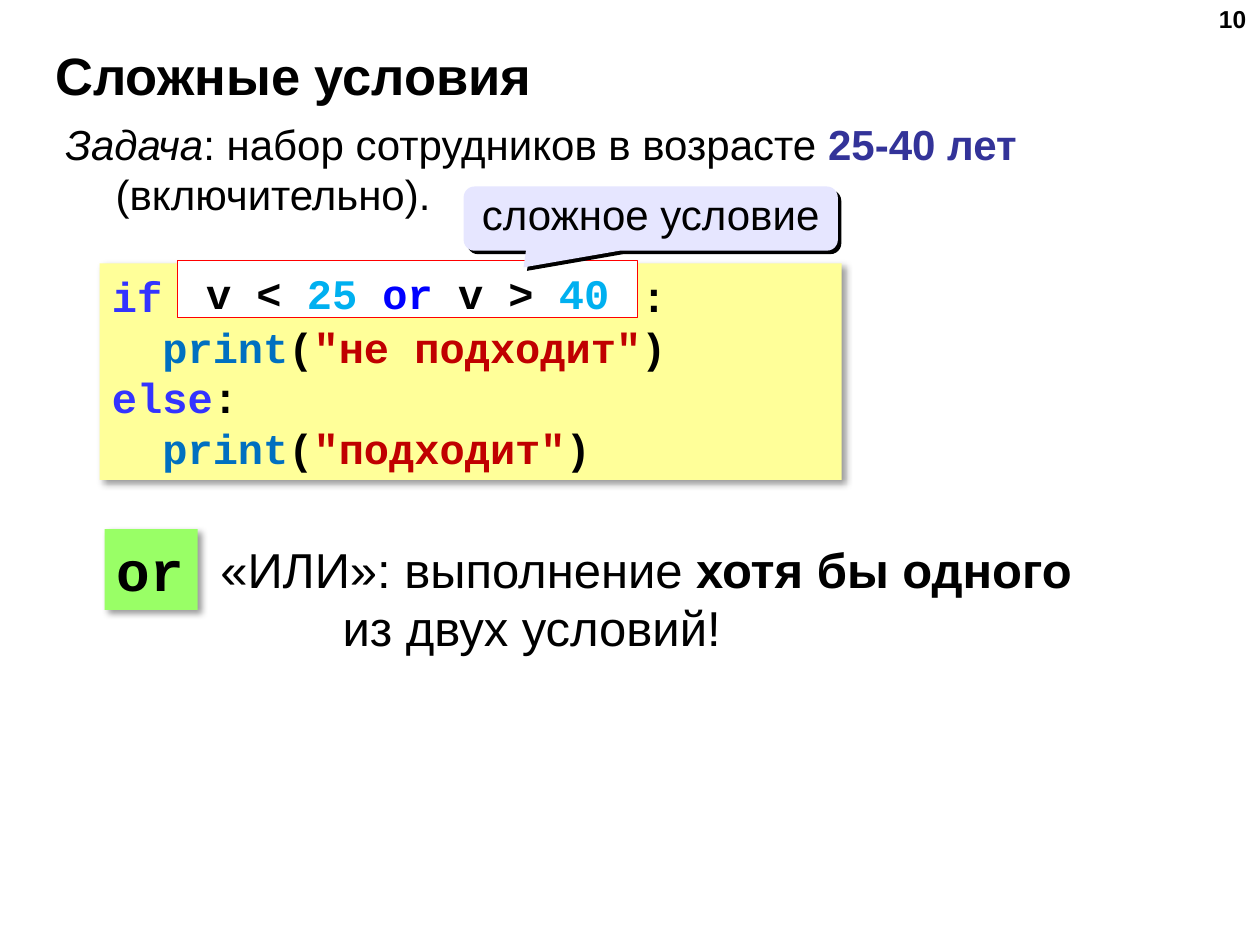
from dataclasses import dataclass

from lxml.etree import SubElement
from pptx import Presentation
from pptx.dml.color import RGBColor
from pptx.enum.shapes import MSO_SHAPE
from pptx.enum.text import MSO_ANCHOR, MSO_AUTO_SIZE, PP_ALIGN
from pptx.oxml.ns import qn
from pptx.util import Inches, Pt

SLIDE_WIDTH, SLIDE_HEIGHT = Inches(10), Inches(7.5)


@dataclass(frozen=True)
class Theme:
    """Colours, fonts and type sizes of the slide."""
    text: str = "000000"
    accent: str = "333399"
    keyword: str = "3333FF"
    operator: str = "0000FF"
    function: str = "0070C0"
    string: str = "C00000"
    number: str = "00B0F0"
    code_fill: str = "FFFF99"
    condition_fill: str = "FFFFFF"
    condition_line: str = "FF0000"
    callout_fill: str = "E6E6FF"
    badge_fill: str = "99FF66"
    sans: str = "Arial"
    mono: str = "Courier New"
    page_size: int = 14
    body_size: int = 24
    note_size: int = 28
    title_size: int = 30
    badge_size: int = 32


THEME = Theme()
CONDITION_COLUMNS = 19
NESTED_INDENT = 0.4
SOFT_SHADOW = {"opacity": 40, "blur": 4, "distance": 3}
HARD_SHADOW = {"opacity": 100, "blur": 0, "distance": 2.8}


def set_format(target, values):
    """Set every attribute named in a dict."""
    for name, value in values.items():
        setattr(target, name, value)


def box(left, top, width, height):
    """Turn percentages of the slide into a dict of lengths."""
    return {
        "left": int(SLIDE_WIDTH * left / 100),
        "top": int(SLIDE_HEIGHT * top / 100),
        "width": int(SLIDE_WIDTH * width / 100),
        "height": int(SLIDE_HEIGHT * height / 100),
    }


def set_indent(paragraph, margin=0, first=0):
    """Set the left margin and first-line indent in inches."""
    properties = paragraph._p.get_or_add_pPr()
    properties.set("marL", str(Inches(margin)))
    properties.set("indent", str(Inches(first)))


def write(shape, lines, font, size, frame=None, paragraph_format=None, indents=None):
    """Fill a shape with lines, each a list of (text, run format) pairs."""
    text_frame = shape.text_frame
    set_format(text_frame, {"word_wrap": True, **(frame or {})})
    for index, line in enumerate(lines):
        paragraph = text_frame.add_paragraph() if index else text_frame.paragraphs[0]
        set_format(paragraph, {"alignment": PP_ALIGN.LEFT, **(paragraph_format or {})})
        if indents:
            set_indent(paragraph, **indents[index])
        for text, style in line:
            run = paragraph.add_run()
            run.text = text
            values = {"name": font, "size": Pt(size), **style}
            colour = values.pop("colour", THEME.text)
            set_format(run.font, values)
            run.font.color.rgb = RGBColor.from_string(colour)


def code(text, colour=THEME.text):
    """Return one bold piece of program text."""
    return text, {"bold": True, "colour": colour}


def add_text(slide, place, lines, font, size, **options):
    """Add a text box."""
    write(slide.shapes.add_textbox(**place), lines, font, size, **options)


def add_shadow(shape, opacity, blur, distance):
    """Give a shape a black shadow towards the lower right."""
    effects = shape._element.spPr.find(qn("a:effectLst"))
    shadow = SubElement(effects, qn("a:outerShdw"), blurRad=str(Pt(blur)),
                        dist=str(Pt(distance)), dir="2700000", algn="tl", rotWithShape="0")
    colour = SubElement(shadow, qn("a:srgbClr"), val=THEME.text)
    SubElement(colour, qn("a:alpha"), val=str(opacity * 1000))


def add_panel(slide, place, fill, kind=MSO_SHAPE.RECTANGLE, line=None, shadow=None):
    """Add a filled preset shape."""
    shape = slide.shapes.add_shape(kind, **place)
    shape.shadow.inherit = False
    shape.fill.solid()
    shape.fill.fore_color.rgb = RGBColor.from_string(fill)
    if line:
        shape.line.color.rgb = RGBColor.from_string(line)
        shape.line.width = Pt(0.75)
    else:
        shape.line.fill.background()
    if shadow:
        add_shadow(shape, **shadow)
    return shape


def add_heading(slide):
    """Place the title and the page number."""
    title = slide.shapes.title
    set_format(title, box(3.4, 4.4, 91.6, 6.93))
    write(title, [[("Сложные условия", {"bold": True})]], THEME.sans, THEME.title_size,
          frame={"vertical_anchor": MSO_ANCHOR.MIDDLE, "auto_size": MSO_AUTO_SIZE.NONE})
    add_text(slide, box(76.6, -0.27, 23.3, 6.93), [[("10", {"bold": True})]],
             THEME.sans, THEME.page_size, paragraph_format={"alignment": PP_ALIGN.RIGHT})


def add_task(slide):
    """Add the statement of the problem."""
    line = [("Задача", {"italic": True}), (": набор сотрудников в возрасте ", {}),
            ("25-40 лет ", {"bold": True, "colour": THEME.accent}), ("(включительно).", {})]
    add_text(slide, box(4.2, 11.87, 92.1, 12.13), [line], THEME.sans, THEME.body_size,
             indents=[{"margin": 0.4, "first": -0.4}])


def print_call(text):
    """Return the pieces of a print call."""
    return [code("print", THEME.function), code("("), code(f'"{text}"', THEME.string), code(")")]


def add_program(slide):
    """Add the program, its condition and the callout."""
    program = add_panel(slide, box(7.9, 27.87, 58.9, 22.93), THEME.code_fill, shadow=SOFT_SHADOW)
    lines = [[code("if", THEME.keyword), code(":".rjust(CONDITION_COLUMNS + 1))],
             print_call("не подходит"),
             [code("else", THEME.keyword), code(":")], print_call("подходит")]
    nested = {"margin": NESTED_INDENT}
    write(program, lines, THEME.mono, THEME.body_size,
          frame={"vertical_anchor": MSO_ANCHOR.MIDDLE}, indents=[{}, nested, {}, nested])

    condition = add_panel(slide, box(14.1, 27.6, 36.5, 6), THEME.condition_fill,
                          line=THEME.condition_line)
    line = [code("v < "), code("25 ", THEME.number), code("or", THEME.operator),
            code(" v > "), code("40", THEME.number)]
    write(condition, [line], THEME.mono, THEME.body_size,
          frame={"vertical_anchor": MSO_ANCHOR.TOP, "margin_bottom": 0},
          paragraph_format={"alignment": PP_ALIGN.CENTER})

    callout = add_panel(slide, box(36.8, 19.73, 29.7, 6.8), THEME.callout_fill,
                        kind=MSO_SHAPE.ROUNDED_RECTANGULAR_CALLOUT, shadow=HARD_SHADOW)
    for index, value in enumerate((-0.34, 0.76, 0.17)):
        callout.adjustments[index] = value
    write(callout, [[("сложное условие", {})]], THEME.sans, THEME.body_size,
          frame={"vertical_anchor": MSO_ANCHOR.MIDDLE},
          paragraph_format={"alignment": PP_ALIGN.CENTER, "line_spacing": 0.8})


def add_explanation(slide):
    """Add the operator badge and its meaning."""
    badge = add_panel(slide, box(8.3, 56, 7.4, 8.53), THEME.badge_fill, shadow=SOFT_SHADOW)
    write(badge, [[code("or")]], THEME.mono, THEME.badge_size,
          frame={"vertical_anchor": MSO_ANCHOR.TOP, "word_wrap": False})
    lines = [[("«ИЛИ»: выполнение ", {}), ("хотя бы одного", {"bold": True})],
             [("из двух условий!", {})]]
    add_text(slide, box(16.5, 56.4, 72.1, 13.87), lines, THEME.sans, THEME.note_size,
             indents=[{}, {"margin": 0.97}])


def main():
    """Build and save the slide."""
    presentation = Presentation()
    set_format(presentation, {"slide_width": SLIDE_WIDTH, "slide_height": SLIDE_HEIGHT})
    slide = presentation.slides.add_slide(presentation.slide_layouts[5])
    add_heading(slide)
    add_task(slide)
    add_program(slide)
    add_explanation(slide)
    presentation.save("out.pptx")


if __name__ == "__main__":
    main()
